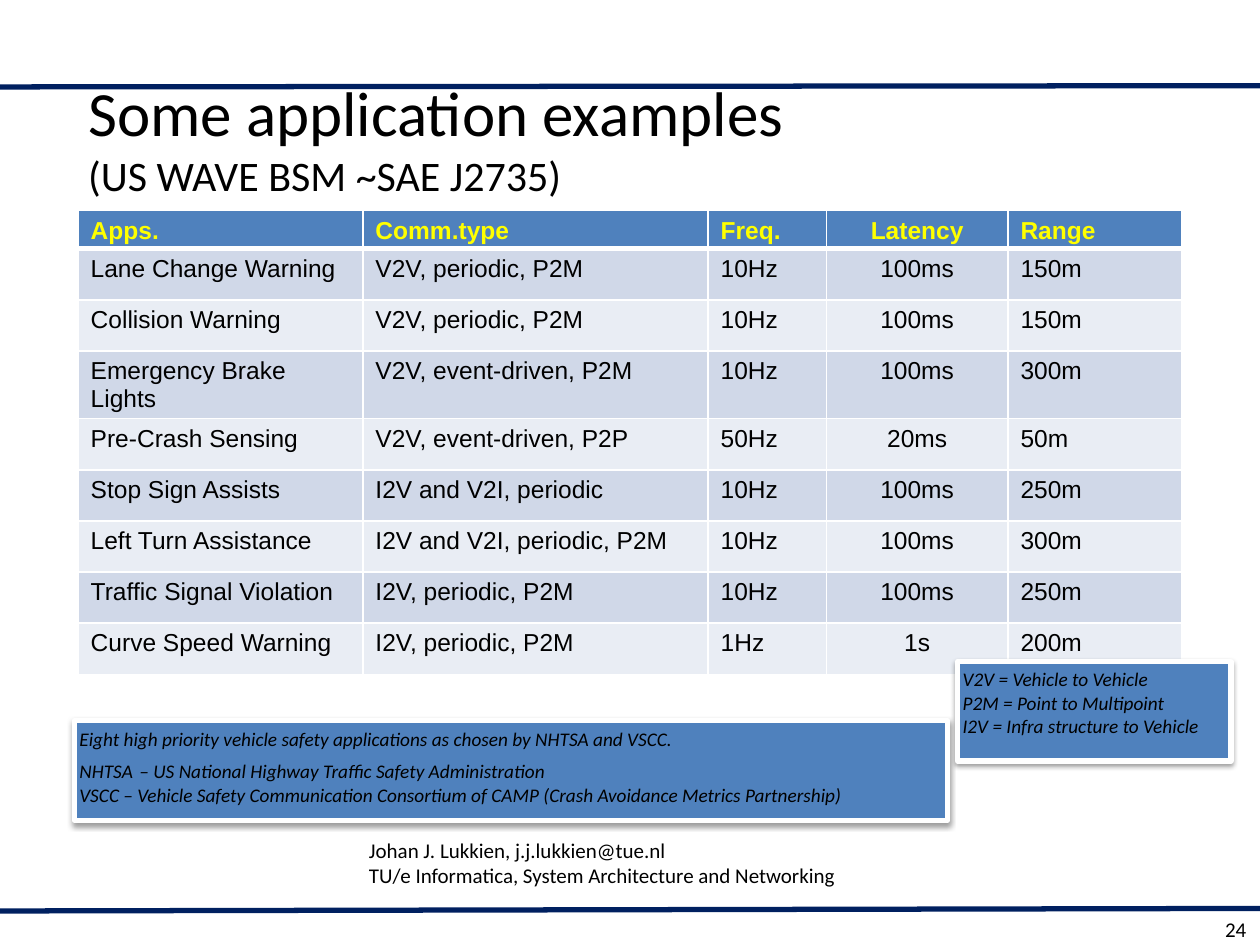
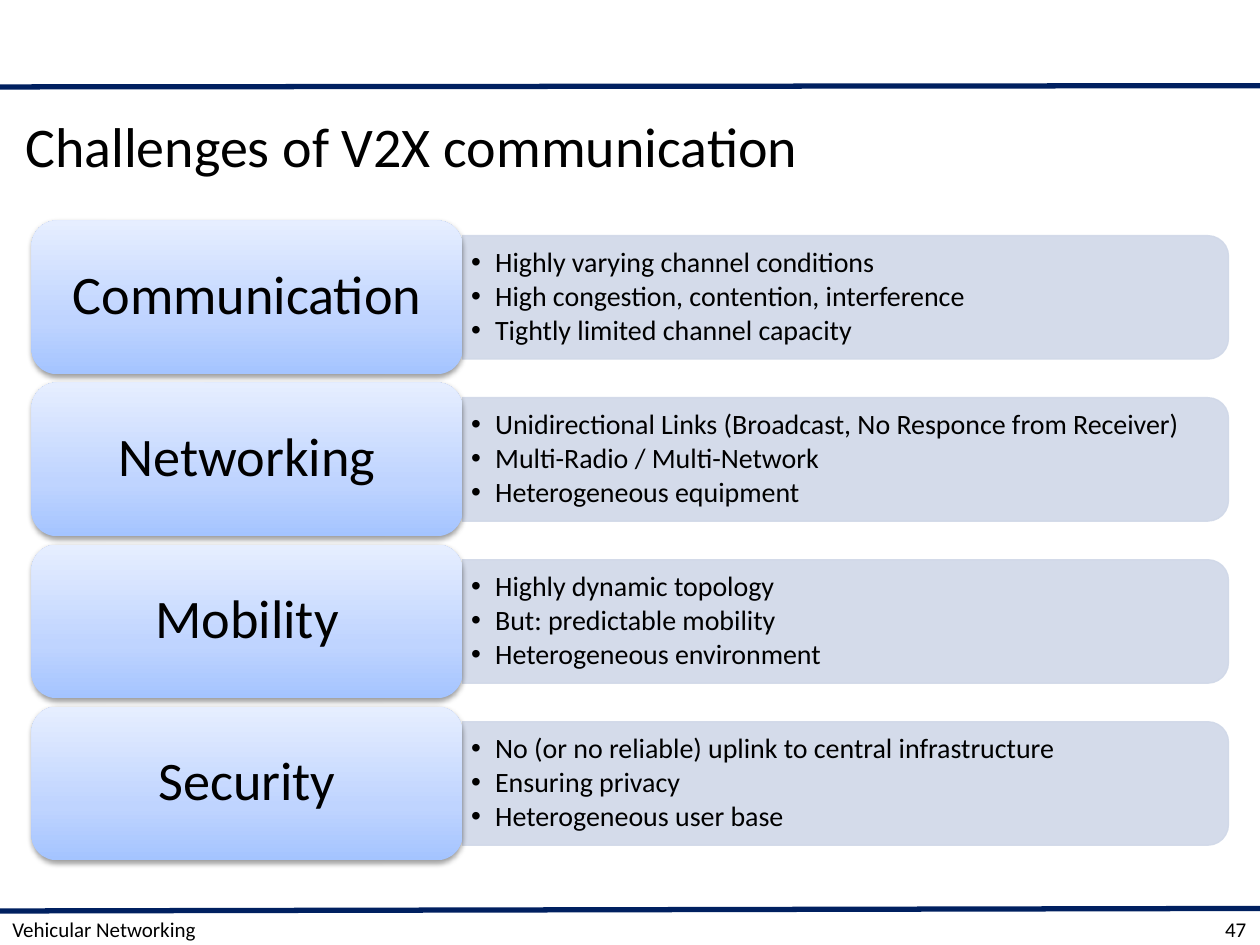
from dataclasses import dataclass

from lxml import etree
from pptx import Presentation
from pptx.dml.color import RGBColor
from pptx.enum.shapes import MSO_CONNECTOR, MSO_SHAPE
from pptx.enum.text import MSO_ANCHOR, PP_ALIGN
from pptx.oxml.ns import qn
from pptx.util import Inches, Pt

LEFT, CENTER, RIGHT = PP_ALIGN.LEFT, PP_ALIGN.CENTER, PP_ALIGN.RIGHT
TOP, MIDDLE = MSO_ANCHOR.TOP, MSO_ANCHOR.MIDDLE
RECTANGLE, ROUNDED = MSO_SHAPE.RECTANGLE, MSO_SHAPE.ROUNDED_RECTANGLE
TWO_ROUNDED = MSO_SHAPE.ROUND_2_SAME_RECTANGLE
STRAIGHT = MSO_CONNECTOR.STRAIGHT

WIDTH, HEIGHT = Inches(10), Inches(7.5)
COL, ROW = WIDTH / 100, HEIGHT / 75


@dataclass(frozen=True)
class Theme:
    """Colours, fonts and type sizes shared by the slides."""
    font: str = "Calibri"
    table_font: str = "Arial"
    ink: str = "000000"
    paper: str = "FFFFFF"
    rule: str = "002060"
    accent: str = "4F81BD"
    heading: str = "FFFF00"
    stripes: tuple = ("D0D8E8", "E9EDF4")
    gradient: tuple = ((0, "A4C4FF"), (35, "BFD4FF"), (100, "E6EEFF"))
    title: int = 36
    challenge_title: int = 32
    subtitle: int = 24
    label: int = 31
    bullet: int = 16
    cell: int = 14
    footer: int = 12
    note: int = 11


THEME = Theme()

APPLICATIONS = [
    ("Apps.", "Comm.type", "Freq.", "Latency", "Range"),
    ("Lane Change Warning", "V2V, periodic, P2M", "10Hz", "100ms", "150m"),
    ("Collision Warning", "V2V, periodic, P2M", "10Hz", "100ms", "150m"),
    ("Emergency Brake Lights", "V2V, event-driven, P2M", "10Hz", "100ms", "300m"),
    ("Pre-Crash Sensing", "V2V, event-driven, P2P", "50Hz", "20ms", "50m"),
    ("Stop Sign Assists", "I2V and V2I, periodic", "10Hz", "100ms", "250m"),
    ("Left Turn Assistance", "I2V and V2I, periodic, P2M", "10Hz", "100ms", "300m"),
    ("Traffic Signal Violation", "I2V, periodic, P2M", "10Hz", "100ms", "250m"),
    ("Curve Speed Warning", "I2V, periodic, P2M", "1Hz", "1s", "200m"),
]
LATENCY = 3
COLUMN_SPANS = (22.6, 27.4, 9.4, 14.4, 13.8)
HEADER_ROWS, BODY_ROWS = 2.3, 4.06

SELECTION_NOTE = [
    "Eight high priority vehicle safety applications as chosen by NHTSA and VSCC.",
    "NHTSA",
    "VSCC – Vehicle Safety Communication Consortium of CAMP "
    "(Crash Avoidance Metrics Partnership)",
]
ABBREVIATIONS = [
    "V2V = Vehicle to Vehicle",
    "P2M = Point to Multipoint",
    "I2V = Infra structure to Vehicle",
]
AUTHOR = [
    "Johan J. Lukkien, j.j.lukkien@tue.nl",
    "TU/e Informatica, System Architecture and Networking",
]
CHALLENGES = {
    "Communication": [
        "Highly varying channel conditions",
        "High congestion, contention, interference",
        "Tightly limited channel capacity",
    ],
    "Networking": [
        "Unidirectional Links (Broadcast, No Responce from Receiver)",
        "Multi-Radio / Multi-Network",
        "Heterogeneous equipment",
    ],
    "Mobility": [
        "Highly dynamic topology",
        "But: predictable mobility",
        "Heterogeneous environment",
    ],
    "Security": [
        "No (or no reliable) uplink to central infrastructure",
        "Ensuring privacy",
        "Heterogeneous user base",
    ],
}


def span(left, top, columns, rows):
    """Turn grid columns and rows into slide lengths."""
    return [round(n) for n in (left * COL, top * ROW, columns * COL, rows * ROW)]


def rgb(code):
    """Read a hex colour."""
    return RGBColor.from_string(code)


def add_xml(parent, tag, **attributes):
    """Append a DrawingML element."""
    return etree.SubElement(parent, qn(tag), attributes)


def style_run(run, size, font=THEME.font, color=THEME.ink, bold=False, italic=False):
    """Format one run."""
    run.font.size, run.font.name = Pt(size), font
    run.font.bold, run.font.italic = bold, italic
    run.font.color.rgb = rgb(color)


def write_lines(frame, lines, size, align=LEFT, **style):
    """Fill a text frame with paragraphs in one style."""
    frame.text = "\n".join(lines)
    for paragraph in frame.paragraphs:
        paragraph.alignment = align
        for run in paragraph.runs:
            style_run(run, size, **style)


def write(frame, lines, size, anchor=MIDDLE, inset=(1, 0.5), **style):
    """Lay out a text frame and fill it."""
    write_lines(frame, lines, size, **style)
    frame.word_wrap, frame.vertical_anchor = True, anchor
    frame.margin_left = frame.margin_right = round(inset[0] * COL)
    frame.margin_top = frame.margin_bottom = round(inset[1] * ROW)


def add_text(slide, place, lines, size, **options):
    """Add a text box and return its frame."""
    frame = slide.shapes.add_textbox(*span(*place)).text_frame
    write(frame, lines, size, **options)
    return frame


def add_panel(slide, kind, place):
    """Add a preset shape without shadow or line."""
    panel = slide.shapes.add_shape(kind, *span(*place))
    panel.shadow.inherit = False
    panel.line.fill.background()
    return panel


def drop_shadow(panel):
    """Give a shape a soft shadow below it."""
    effects = panel._element.spPr.find(qn("a:effectLst"))
    shadow = add_xml(effects, "a:outerShdw", blurRad=str(Pt(3.1)), dist=str(Pt(1.6)),
                     dir="5400000", rotWithShape="0")
    add_xml(add_xml(shadow, "a:srgbClr", val="000000"), "a:alpha", val="38000")


def fill_gradient(panel):
    """Fill a shape from the darker bottom to the lighter top."""
    panel.fill.gradient()
    panel.fill.gradient_angle = 90
    stops = panel._element.spPr.find(".//" + qn("a:gsLst"))
    stops.clear()
    for share, code in THEME.gradient:
        stop = add_xml(stops, "a:gs", pos=str(share * 1000))
        add_xml(stop, "a:srgbClr", val=code)


def add_rule(slide, left_row, right_row):
    """Draw a dark line across the slide."""
    rule = slide.shapes.add_connector(
        STRAIGHT, 0, round(left_row * ROW), WIDTH, round(right_row * ROW))
    rule.line.color.rgb, rule.line.width = rgb(THEME.rule), Pt(3)
    add_xml(rule._element.spPr, "a:effectLst")


def add_base(deck, number):
    """Add a blank slide with its rules and page number."""
    slide = deck.slides.add_slide(deck.slide_layouts[6])
    add_rule(slide, 72.3, 72.1)
    add_rule(slide, 6.9, 6.8)
    add_text(slide, (88.3, 72.5, 11.6, 2.5), [number], THEME.footer,
             align=RIGHT, inset=(1, 0))
    return slide


def add_note(slide, place, lines):
    """Add a framed blue note in italics and return its text frame."""
    note = add_panel(slide, RECTANGLE, place)
    note.fill.solid()
    note.fill.fore_color.rgb = rgb(THEME.accent)
    note.line.color.rgb, note.line.width = rgb(THEME.paper), Pt(3)
    drop_shadow(note)
    write(note.text_frame, lines, THEME.note, anchor=TOP, inset=(0.4, 0.5), italic=True)
    return note.text_frame


def underline_header(cell):
    """Draw the thick light border below a header cell."""
    properties = cell._tc.get_or_add_tcPr()
    border = add_xml(properties, "a:lnB", w=str(Pt(3)))
    add_xml(add_xml(border, "a:solidFill"), "a:srgbClr", val=THEME.paper)
    properties.insert(0, border)


def add_application_table(slide):
    """Add the table of safety applications."""
    height = HEADER_ROWS + BODY_ROWS * (len(APPLICATIONS) - 1)
    place = span(6.2, 16.7, sum(COLUMN_SPANS), height)
    table = slide.shapes.add_table(len(APPLICATIONS), len(COLUMN_SPANS), *place).table
    for column, columns in zip(table.columns, COLUMN_SPANS):
        column.width = round(columns * COL)
    for r, record in enumerate(APPLICATIONS):
        header = r == 0
        table.rows[r].height = round((HEADER_ROWS if header else BODY_ROWS) * ROW)
        for c, value in enumerate(record):
            cell = table.cell(r, c)
            cell.margin_bottom = round(0.2 * ROW)
            cell.fill.solid()
            cell.fill.fore_color.rgb = rgb(
                THEME.accent if header else THEME.stripes[(r - 1) % 2])
            if header:
                underline_header(cell)
            write_lines(cell.text_frame, [value], THEME.cell,
                        align=CENTER if c == LATENCY else LEFT,
                        font=THEME.table_font, bold=header,
                        color=THEME.heading if header else THEME.ink)


def add_bullets(frame):
    """Turn the paragraphs of a frame into bullets."""
    indent = round(1.9 * COL)
    for paragraph in frame.paragraphs:
        paragraph.line_spacing, paragraph.space_after = 0.9, Pt(2.2)
        properties = paragraph._p.get_or_add_pPr()
        properties.set("marL", str(indent))
        properties.set("indent", str(-indent))
        add_xml(properties, "a:buFont", typeface="Arial")
        add_xml(properties, "a:buChar", char="•")


def add_challenge(slide, top, name, points):
    """Add one row: a band of bullets behind a gradient label."""
    label_height, band_height, band_length, band_left = 12.2, 9.8, 60.8, 36.7
    middle = top + label_height / 2
    band = add_panel(slide, TWO_ROUNDED, (
        band_left + (band_length - band_height) / 2, middle - band_length / 2,
        band_height, band_length))
    band.rotation = 90
    band.fill.solid()
    band.fill.fore_color.rgb = band.line.color.rgb = rgb(THEME.stripes[0])
    band.line.width = Pt(0.75)
    for color in band._element.spPr.iter(qn("a:srgbClr")):
        add_xml(color, "a:alpha", val="90000")
    add_bullets(add_text(slide, (band_left, middle - 4.4, 60.3, 8.8), points,
                         THEME.bullet, inset=(0.7, 0.3)))
    label = add_panel(slide, ROUNDED, (2.5, top, 34.2, label_height))
    fill_gradient(label)
    drop_shadow(label)
    write(label.text_frame, [name], THEME.label, align=CENTER)
    label.text_frame.paragraphs[0].line_spacing = 0.9


def build_applications(deck):
    """Build the slide of application examples."""
    slide = add_base(deck, "24")
    title = add_text(slide, (5, 4.6, 90, 12.5),
                     ["Some application examples\v(US WAVE BSM ~SAE J2735)"],
                     THEME.title, inset=(2, 0.5))
    title.paragraphs[0].runs[1].font.size = Pt(THEME.subtitle)
    add_application_table(slide)
    agency = add_note(slide, (5.9, 57.2, 69.3, 7.9), SELECTION_NOTE).paragraphs[1]
    for words, size, italic in (
            (" ", THEME.bullet, False),
            ("– US National Highway Traffic Safety Administration", THEME.note, True)):
        run = agency.add_run()
        run.text = words
        style_run(run, size, italic=italic)
    add_note(slide, (76, 52.5, 21.7, 7.9), ABBREVIATIONS)
    add_text(slide, (28.3, 65.1, 40.8, 6.7), AUTHOR, THEME.footer)


def build_challenges(deck):
    """Build the slide of communication challenges."""
    slide = add_base(deck, "47")
    add_text(slide, (0, 7.5, 100, 8), ["Challenges of V2X communication"],
             THEME.challenge_title, inset=(2, 0.5))
    add_text(slide, (0, 72.5, 100, 2.5), ["Vehicular Networking"],
             THEME.footer, inset=(1, 0))
    for i, (name, points) in enumerate(CHALLENGES.items()):
        add_challenge(slide, 17.5 + 12.86 * i, name, points)


def main():
    """Build and save the deck."""
    deck = Presentation()
    deck.slide_width, deck.slide_height = WIDTH, HEIGHT
    build_applications(deck)
    build_challenges(deck)
    deck.save("out.pptx")


if __name__ == "__main__":
    main()
